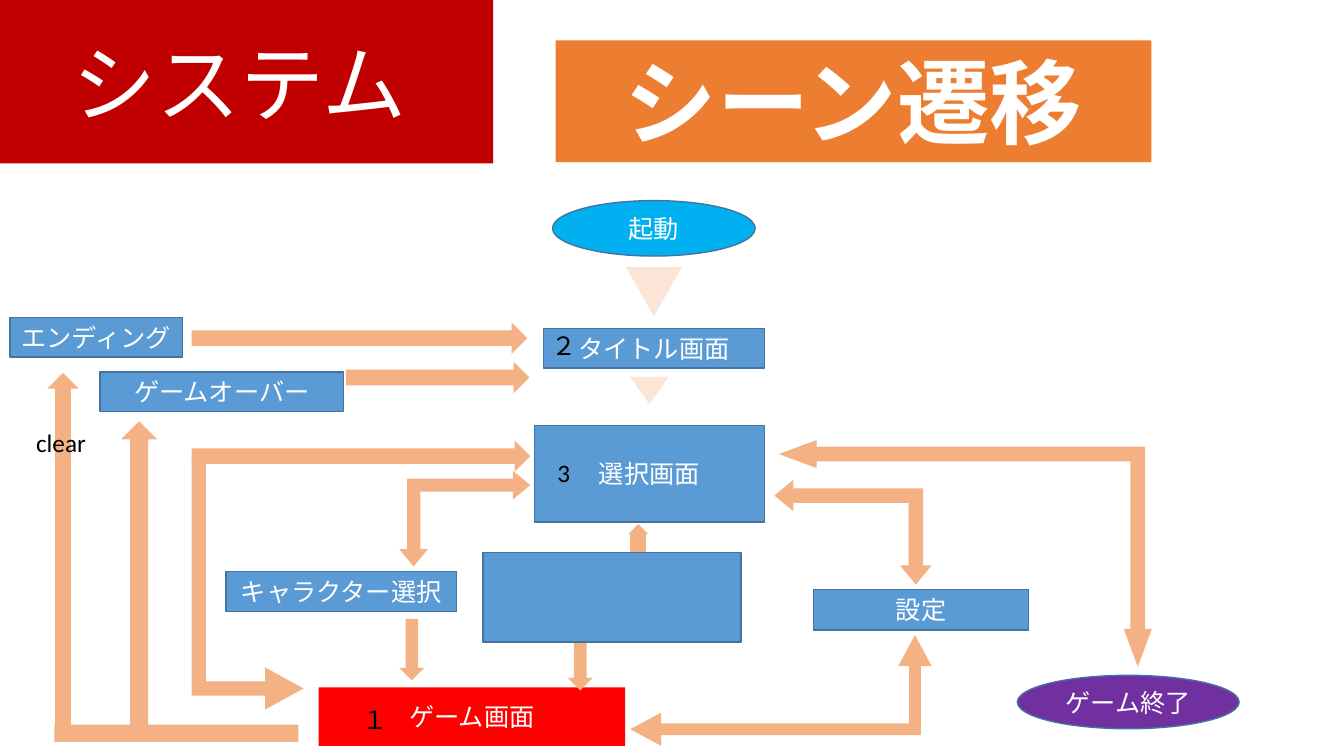
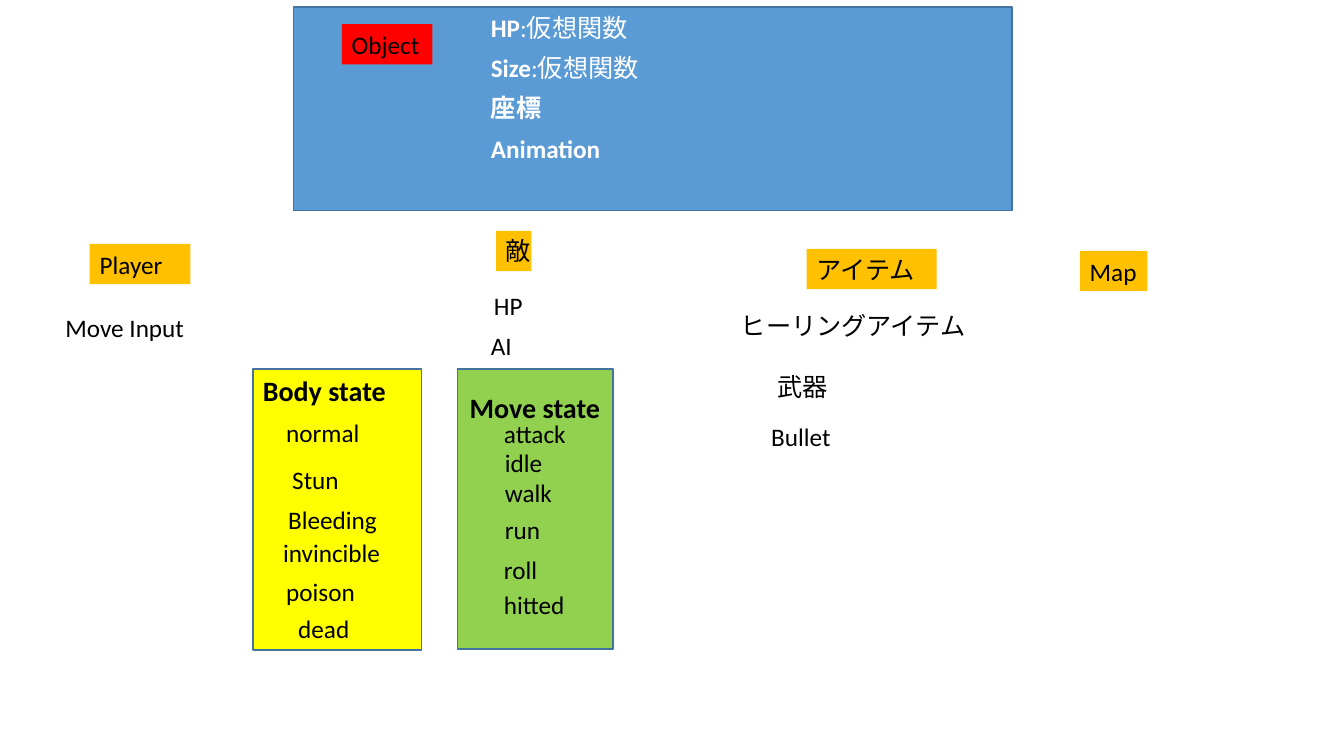
from pptx import Presentation
from pptx.dml.color import RGBColor
from pptx.enum.lang import MSO_LANGUAGE_ID
from pptx.enum.shapes import MSO_SHAPE
from pptx.enum.text import MSO_ANCHOR, MSO_AUTO_SIZE, PP_ALIGN
from pptx.util import Cm, Pt

RECT, OVAL, TRI = MSO_SHAPE.RECTANGLE, MSO_SHAPE.OVAL, MSO_SHAPE.ISOSCELES_TRIANGLE
UP, DOWN, RIGHT = MSO_SHAPE.UP_ARROW, MSO_SHAPE.DOWN_ARROW, MSO_SHAPE.RIGHT_ARROW
ELBOW, BENT = MSO_SHAPE.LEFT_UP_ARROW, MSO_SHAPE.BENT_UP_ARROW
BOTH = MSO_SHAPE.UP_DOWN_ARROW
TOP, MID = MSO_ANCHOR.TOP, MSO_ANCHOR.MIDDLE
LEFT, CENTER = PP_ALIGN.LEFT, PP_ALIGN.CENTER
FIXED, JAPAN = MSO_AUTO_SIZE.NONE, MSO_LANGUAGE_ID.JAPANESE

WHITE = RGBColor(0xFF, 0xFF, 0xFF)
BLACK = RGBColor(0x00, 0x00, 0x00)
BLUE = RGBColor(0x5B, 0x9B, 0xD5)
EDGE = RGBColor(0x43, 0x73, 0x9E)
SKY = RGBColor(0x00, 0xB0, 0xF0)
PURPLE = RGBColor(0x70, 0x30, 0xA0)
RED = RGBColor(0xFF, 0x00, 0x00)
DARK = RGBColor(0xC0, 0x00, 0x00)
ORANGE = RGBColor(0xED, 0x7D, 0x31)
PEACH = RGBColor(0xF4, 0xB1, 0x83)
PALE = RGBColor(0xFB, 0xE5, 0xD6)
GOLD = RGBColor(0xFF, 0xC0, 0x00)
GREEN = RGBColor(0x92, 0xD0, 0x50)
YELLOW = RGBColor(0xFF, 0xFF, 0x00)
FONT = "Calibri"
UNIT = 2.54  # centimetres in one layout unit
LINE = 0.4   # height of one text line

# Scenes: text, kind, fill, edge, box
SCENES = [
    ("起動", OVAL, SKY, EDGE, (5.48, 1.99, 2.01, 0.55)),
    ("タイトル画面", RECT, BLUE, EDGE, (5.39, 3.26, 2.19, 0.39)),
    ("選択画面", RECT, BLUE, EDGE, (5.3, 4.22, 2.28, 0.96)),
    ("キャラクター選択", RECT, BLUE, EDGE, (2.24, 5.67, 2.29, 0.4)),
    ("設定", RECT, BLUE, EDGE, (8.07, 5.85, 2.13, 0.4)),
    ("ゲーム画面", RECT, RED, None, (3.16, 6.82, 3.04, 0.58)),
    ("ゲーム終了", OVAL, PURPLE, EDGE, (10.09, 6.7, 2.2, 0.53)),
    ("エンディング", RECT, BLUE, EDGE, (0.1, 3.15, 1.71, 0.39)),
    ("ゲームオーバー", RECT, BLUE, EDGE, (0.99, 3.69, 2.42, 0.39)),
]
# Flow: kind, fill, box, turn, adjustments
FLOW = [
    (TRI, PALE, (6.21, 2.65, 0.55, 0.49), 180, ()),
    (TRI, PALE, (6.25, 3.74, 0.38, 0.27), 180, ()),
    (ELBOW, PEACH, (3.96, 4.67, 1.3, 0.95), 180, (0.138, 0.15, 0.183)),
    (ELBOW, PEACH, (7.94, 4.5, 1.04, 1.56), 270, (0.138, 0.15, 0.183)),
    (ELBOW, PEACH, (8.45, 3.64, 2.25, 3.7), 270, (0.065, 0.062, 0.167)),
    (ELBOW, PEACH, (6.25, 6.3, 2.99, 1.1), 0, (0.106, 0.15, 0.28)),
    (BENT, PEACH, (1.23, 5.26, 2.45, 1.11), 90, (0.127, 0.189, 0.344)),
    (DOWN, PEACH, (3.96, 6.14, 0.25, 0.61), 0, ()),
    (DOWN, PEACH, (5.63, 6.24, 0.25, 0.61), 0, ()),
    (BOTH, PEACH, (6.23, 5.2, 0.2, 0.6), 0, (0.363, 0.788)),
    (RIGHT, PEACH, (1.9, 4.37, 3.36, 0.31), 0, ()),
    (RIGHT, PEACH, (1.9, 3.2, 3.33, 0.31), 0, ()),
    (RIGHT, PEACH, (3.43, 3.59, 1.82, 0.31), 0, ()),
    (UP, PEACH, (0.47, 3.7, 0.31, 3.5), 0, ()),
    (UP, PEACH, (1.2, 4.18, 0.36, 3.09), 0, ()),
    (RECT, PEACH, (0.54, 7.19, 2.42, 0.17), 0, ()),
]
# Labels: text, left, top, width
MARKS = [("clear", 0.26, 4.19, 0.8), ("１", 3.5, 6.94, 0.45),
         ("２", 5.37, 3.23, 0.45), ("3", 5.43, 4.49, 0.33)]

PANELS = [(GREEN, (4.54, 3.66, 1.54, 2.78)), (BLUE, (2.91, 0.07, 7.13, 2.02)),
          (YELLOW, (2.51, 3.66, 1.67, 2.79))]
TAGS = [("Object", RED, 3.39, 0.24, 0.9), ("Player", GOLD, 0.89, 2.42, 1),
        ("敵", GOLD, 4.92, 2.29, 0.35), ("アイテム", GOLD, 8, 2.47, 1.29),
        ("Map", GOLD, 10.71, 2.49, 0.67)]
FIELDS = [("HP", ":仮想関数"), ("Size", ":仮想関数"), ("座標", ""), ("Animation", "")]
HEADS = [("Move state", 4.56, 3.82, 1.82), ("Body state", 2.51, 3.66, 1.6)]
ITEMS = [
    ("Move Input", 0.55, 3.05, 1.46), ("HP", 4.8, 2.83, 0.77), ("AI", 4.77, 3.23, 0.96),
    ("normal", 2.74, 4.09, 1.6), ("Stun", 2.8, 4.56, 1.05),
    ("Bleeding", 2.76, 4.95, 1.18), ("invincible", 2.71, 5.28, 1.3),
    ("poison", 2.74, 5.67, 1), ("dead", 2.86, 6.04, 1.03),
    ("attack", 4.9, 4.1, 0.9), ("idle", 4.91, 4.39, 0.68), ("walk", 4.91, 4.69, 0.8),
    ("run", 4.91, 5.05, 0.68), ("roll", 4.9, 5.45, 0.68), ("hitted", 4.9, 5.8, 0.91),
    ("ヒーリングアイテム", 7.25, 3.03, 2.6), ("武器", 7.61, 3.63, 0.88),
    ("Bullet", 7.55, 4.13, 0.99),
]


def place(box):
    return [Cm(v * UNIT) for v in box]


def write(shape, text, tail="", size=18, color=BLACK, bold=False, align=LEFT, anchor=TOP):
    """Fill a shape with bold or plain text, and a plain tail."""
    frame = shape.text_frame
    frame.auto_size = FIXED
    frame.word_wrap = True
    frame.vertical_anchor = anchor
    para = frame.paragraphs[0]
    para.alignment = align
    for part, heavy in ((text, bold), (tail, False)):
        if part:
            run = para.add_run()
            run.text = part
            font = run.font
            font.name, font.size, font.bold = FONT, Pt(size), heavy
            font.color.rgb = color
            font.language_id = JAPAN


def draw(slide, kind, box, fill, edge=None, turn=0, adjust=()):
    shape = slide.shapes.add_shape(kind, *place(box))
    shape.shadow.inherit = False
    shape.fill.solid()
    shape.fill.fore_color.rgb = fill
    if edge is None:
        shape.line.fill.background()
    else:
        shape.line.color.rgb = edge
        shape.line.width = Pt(1)
    shape.rotation = turn
    for i, value in enumerate(adjust):
        shape.adjustments[i] = value
    return shape


def label(slide, text, left, top, width, **style):
    box = slide.shapes.add_textbox(*place((left, top, width, LINE)))
    write(box, text, **style)


def scene_slide(deck):
    slide = deck.slides.add_slide(deck.slide_layouts[5])
    # Title band
    title = slide.shapes.title
    title.left, title.top, title.width, title.height = place((0, 0, 4.89, 1.62))
    title.fill.solid()
    title.fill.fore_color.rgb = DARK
    write(title, "システム", size=60, color=WHITE, anchor=MID)
    title.text_frame.margin_left = Cm(0.72 * UNIT)
    topic = draw(slide, RECT, (5.51, 0.4, 5.91, 1.21), ORANGE)
    write(topic, "シーン遷移", size=66, color=WHITE, bold=True, align=CENTER)
    # Scenes and the ways between them
    for text, kind, fill, edge, box in SCENES:
        node = draw(slide, kind, box, fill, edge)
        write(node, text, color=WHITE, align=CENTER, anchor=MID)
    for kind, fill, box, turn, adjust in FLOW:
        draw(slide, kind, box, fill, turn=turn, adjust=adjust)
    draw(slide, RECT, (4.79, 5.48, 2.56, 0.89), BLUE, EDGE)
    for mark in MARKS:
        label(slide, *mark)


def class_slide(deck):
    slide = deck.slides.add_slide(deck.slide_layouts[6])
    for fill, box in PANELS:
        draw(slide, RECT, box, fill, EDGE)
    for text, fill, left, top, width in TAGS:
        write(draw(slide, RECT, (left, top, width, LINE), fill), text)
    # Fields of the base class
    for i, (name, kind) in enumerate(FIELDS):
        label(slide, name, 4.77, 0.07 + i * LINE, 1.9, tail=kind, color=WHITE, bold=True)
    # States and members
    for head in HEADS:
        label(slide, *head, size=20, bold=True)
    for item in ITEMS:
        label(slide, *item)


def main():
    deck = Presentation()
    deck.slide_width, deck.slide_height = place((13.33, 7.5))
    scene_slide(deck)
    class_slide(deck)
    deck.save("out.pptx")


if __name__ == "__main__":
    main()
